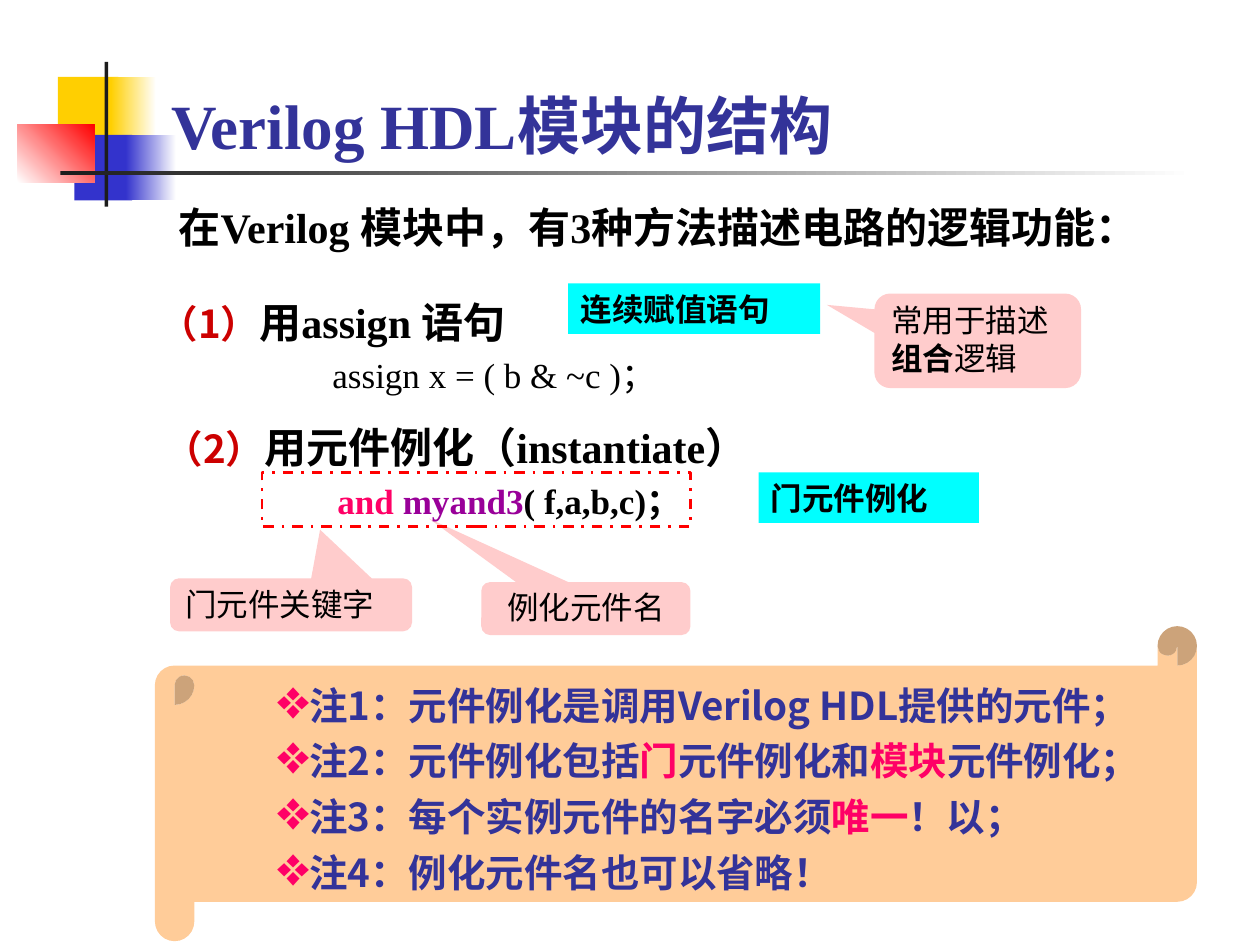
from lxml import etree
from pptx import Presentation
from pptx.dml.color import RGBColor
from pptx.enum.dml import MSO_LINE
from pptx.enum.shapes import MSO_SHAPE
from pptx.enum.text import MSO_ANCHOR, PP_ALIGN
from pptx.oxml.ns import qn
from pptx.util import Pt

PX = 9144  # 100 px to the inch
RECT = MSO_SHAPE.RECTANGLE
CALLOUT = MSO_SHAPE.ROUNDED_RECTANGULAR_CALLOUT
SCROLL = MSO_SHAPE.HORIZONTAL_SCROLL
TOP, MIDDLE, BOTTOM = MSO_ANCHOR.TOP, MSO_ANCHOR.MIDDLE, MSO_ANCHOR.BOTTOM
LEFT, CENTER, JUSTIFY = PP_ALIGN.LEFT, PP_ALIGN.CENTER, PP_ALIGN.JUSTIFY
TIMES, SANS, SANS_JP = "Times New Roman", "Noto Sans CJK SC", "Noto Sans CJK JP"
BLACK, NAVY, RED, PINK = "000000", "333399", "CC0000", "FF0066"

prs = Presentation()
prs.slide_width, prs.slide_height = 1000 * PX, 750 * PX
slide = prs.slides.add_slide(prs.slide_layouts[6])


def add_box(box, kind=None, fill=None, anchor=TOP):
    """Add a preset shape, or a text box when no kind is given."""
    place = [length * PX for length in box]
    if kind is None:
        shape = slide.shapes.add_textbox(*place)
    else:
        shape = slide.shapes.add_shape(kind, *place)
        shape.shadow.inherit = False
        shape.line.fill.background()
        if fill:
            shape.fill.solid()
            shape.fill.fore_color.rgb = RGBColor.from_string(fill)
        else:
            shape.fill.background()
    shape.text_frame.word_wrap = True
    shape.text_frame.vertical_anchor = anchor
    return shape


def write(paragraph, runs, size, colour=BLACK, bold=True, name=TIMES,
          east=SANS, line=None, align=LEFT):
    """Fill a paragraph; each run is its text and what differs in it."""
    paragraph.alignment = align
    if line:
        paragraph.line_spacing = Pt(line)
    font = paragraph.font
    font.size, font.bold, font.name = Pt(size), bold, name
    font.color.rgb = RGBColor.from_string(colour)
    etree.SubElement(font._rPr, qn("a:ea"), typeface=east)
    for text, changes in runs:
        run = paragraph.add_run()
        run.text = text
        if "colour" in changes:
            run.font.color.rgb = RGBColor.from_string(changes["colour"])
        if "size" in changes:
            run.font.size = Pt(changes["size"])
        if "bold" in changes:
            run.font.bold = changes["bold"]
        if "name" in changes:
            run.font.name = changes["name"]


# Corner ornament: box, start colour, end colour of a gradient, angle
for box, start, end, angle in [
    ((46, 61, 48, 52), "FFCF01", None, 0),
    ((88, 61, 36, 52), "FFCF01", "FFFFFF", 0),
    ((59, 107, 46, 52), "3333CC", None, 0),
    ((100, 107, 40, 52), "3333CC", "FFFFFF", 0),
    ((14, 99, 61, 46), "FFFFFF", "FF0000", 45),
    ((83, 49, 3, 115), "1C1C1C", None, 0),
    ((48, 136, 900, 3), "1C1C1C", "FFFFFF", 0),
]:
    block = add_box(box, RECT, start)
    if end:
        block.fill.gradient()
        block.fill.gradient_angle = angle
        for stop, position, colour in zip(block.fill.gradient_stops, (0, 1), (start, end)):
            stop.position = position
            stop.color.rgb = RGBColor.from_string(colour)

title = add_box((126, 8, 852, 125), anchor=BOTTOM).text_frame
title.margin_bottom = 4 * PX
write(title.paragraphs[0], [("Verilog HDL模块的结构", {})], 36, NAVY)

# First method: assign statement
assign = add_box((117, 225, 475, 113)).text_frame
heading = assign.paragraphs[0]
heading.space_after = Pt(2)
write(heading, [("（1）", {"size": 22, "colour": RED, "name": SANS_JP}),
                ("用", {"name": SANS}), ("assign 语句", {})],
      24, line=32.5, align=JUSTIFY)
code = assign.add_paragraph()
code._p.get_or_add_pPr().set("marL", str(137 * PX))
write(code, [("assign x = ( b & ~c )；", {})], 20, bold=False, line=26)

# Cyan labels and pink callouts: box, callout tip, alignment, font, runs
for box, tip, align, name, runs in [
    ((451, 225, 200, 40), None, JUSTIFY, SANS, [("连续赋值语句", {"bold": True})]),
    ((694, 233, 164, 75), (-0.73, -0.38), LEFT, SANS,
     [("常用于描述", {}), ("组合", {"bold": True}), ("逻辑", {})]),
    ((602, 375, 175, 40), None, JUSTIFY, SANS, [("门元件例化", {"bold": True})]),
    ((382, 462, 166, 42), (-0.75, -1.7), CENTER, "Cabin", [("例化元件名", {})]),
    ((135, 459, 192, 42), (0.12, -1.42), LEFT, "Arial", [("门元件关键字", {})]),
]:
    note = add_box(box, CALLOUT if tip else RECT, "FFCCCC" if tip else "00FFFF", BOTTOM)
    if tip:
        note.adjustments[0], note.adjustments[1] = tip
    note.text_frame.margin_bottom = 5 * PX
    write(note.text_frame.paragraphs[0], runs, 18, bold=False, name=name,
          line=22, align=align)

# Second method: instantiation
frame = add_box((208, 375, 340, 43), RECT)
frame.line.color.rgb = RGBColor.from_string("FF0000")
frame.line.width = Pt(1.5)
frame.line.dash_style = MSO_LINE.DASH_DOT

instance = add_box((121, 328, 538, 103)).text_frame
write(instance.paragraphs[0],
      [("（2）", {"size": 22, "colour": RED, "name": SANS_JP}),
       ("用元件例化（", {"name": SANS}), ("instantiate）", {})],
      24, line=30, align=JUSTIFY)
code = instance.add_paragraph()
code._p.get_or_add_pPr().set("marL", str(137 * PX))
code.space_before = Pt(4)
write(code, [("and ", {"colour": PINK}), ("myand3", {"colour": "990099"}),
             ("( f,a,b,c)；", {})], 20, line=24.5)

# Notes on the scroll
scroll = add_box((123, 497, 827, 250), SCROLL, "FFCC99", MIDDLE)
scroll.adjustments[0] = 0.125
notes = scroll.text_frame
notes.margin_left = 35 * PX
notes.margin_right = 12 * PX
key = {"colour": PINK}
for number, runs in enumerate([
    [("注1：元件例化是调用Verilog HDL提供的元件；", {})],
    [("注2：元件例化包括", {}), ("门", key), ("元件例化和", {}), ("模块", key),
     ("元件例化；", {})],
    [("注3：每个实例元件的名字必须", {}), ("唯一", key), ("！以；", {})],
    [("注4：例化元件名也可以省略！", {})],
]):
    paragraph = notes.add_paragraph() if number else notes.paragraphs[0]
    paragraph.line_spacing = Pt(31.8)
    properties = paragraph._p.get_or_add_pPr()
    properties.set("marL", "0")
    properties.set("indent", str(31 * PX))
    properties.set("hangingPunct", "0")
    bullet_colour = etree.SubElement(properties, qn("a:buClr"))
    etree.SubElement(bullet_colour, qn("a:srgbClr"), val=PINK)
    etree.SubElement(properties, qn("a:buSzPct"), val="145000")
    etree.SubElement(properties, qn("a:buChar"), char="❖")
    write(paragraph, runs, 22, NAVY, name=SANS_JP, east=SANS_JP, align=JUSTIFY)

intro = add_box((132, 145, 852, 60)).text_frame
write(intro.paragraphs[0], [("在Verilog 模块中，有3种方法描述电路的逻辑功能：", {})],
      24, line=36)

prs.save("out.pptx")
